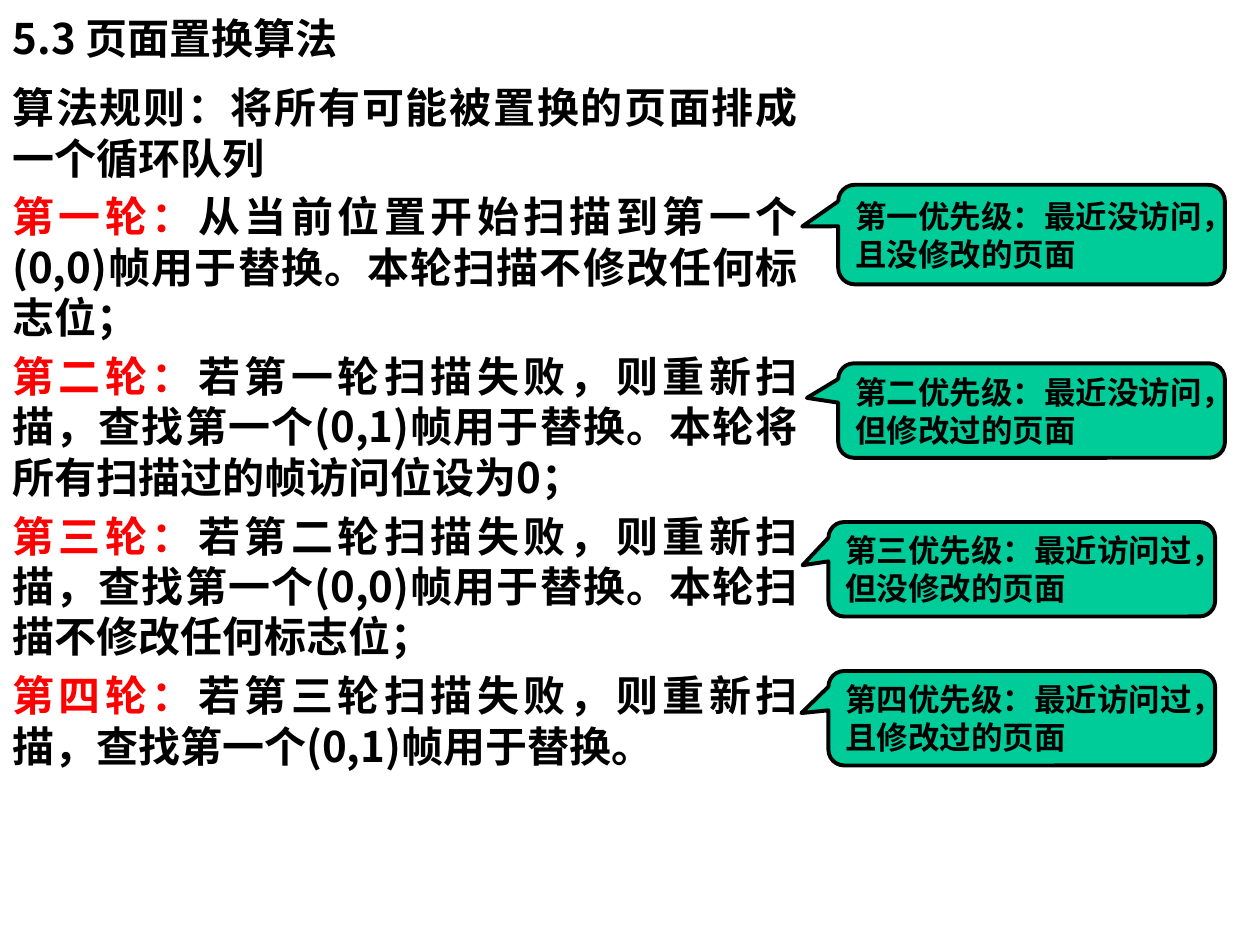
import pptx
import pptx.dml.color
import pptx.enum.shapes
import pptx.enum.text
import pptx.oxml
import pptx.oxml.ns
import pptx.util

Pt = pptx.util.Pt
PP_ALIGN = pptx.enum.text.PP_ALIGN
MSO_ANCHOR = pptx.enum.text.MSO_ANCHOR

COLORS = {"text": "000000", "round": "FF0000", "callout": "00CC99", "white": "FFFFFF"}
CJK_FONT = "Noto Sans CJK SC"
LATIN_FONT = "Arial"

RULE = "算法规则：将所有可能被置换的页面排成一个循环队列"
ROUNDS = [
    ("第一轮：", "从当前位置开始扫描到第一个(0,0)帧用于替换。本轮扫描不修改任何标志位；"),
    ("第二轮：", "若第一轮扫描失败，则重新扫描，查找第一个(0,1)帧用于替换。本轮将所有扫描过的帧访问位设为0；"),
    ("第三轮：", "若第二轮扫描失败，则重新扫描，查找第一个(0,0)帧用于替换。本轮扫描不修改任何标志位；"),
    ("第四轮：", "若第三轮扫描失败，则重新扫描，查找第一个(0,1)帧用于替换。"),
]
PRIORITIES = [
    ((479, 105.6, 221, 56.9), (-0.593, -0.081),
     ["第一优先级：最近没访问，", "且没修改的页面"]),
    ((479, 207.6, 221, 54), (-0.581, -0.134),
     ["第二优先级：最近没访问，", "但修改过的页面"]),
    ((473.4, 298.3, 221, 54), (-0.567, -0.042),
     ["第三优先级：最近访问过，", "但没修改的页面"]),
    ((473.4, 383.4, 221, 54), (-0.57, -0.054),
     ["第四优先级：最近访问过，", "且修改过的页面"]),
]


def rgb(name):
    return pptx.dml.color.RGBColor.from_string(COLORS[name])


def write_text(frame, paragraphs, size=24, font=CJK_FONT, align=PP_ALIGN.LEFT,
               anchor=MSO_ANCHOR.TOP, wrap=True, gap=0):
    frame.auto_size = pptx.enum.text.MSO_AUTO_SIZE.NONE
    frame.word_wrap = wrap
    frame.vertical_anchor = anchor
    for index, pieces in enumerate(paragraphs):
        paragraph = frame.add_paragraph() if index else frame.paragraphs[0]
        paragraph.alignment = align
        paragraph.line_spacing = 1.0
        paragraph.space_before = Pt(gap if index else 0)
        paragraph._p.get_or_add_pPr().set("hangingPunct", "0")
        for words, color in pieces:
            run = paragraph.add_run()
            run.text = words
            run.font.size = Pt(size)
            run.font.bold = True
            run.font.name = font
            run.font.color.rgb = rgb(color)
            east_asian = pptx.oxml.parse_xml(
                f'<a:ea {pptx.oxml.ns.nsdecls("a")} typeface="{CJK_FONT}"/>')
            run.font._element.find(pptx.oxml.ns.qn("a:latin")).addnext(east_asian)


def place_heading(slide, box):
    heading = slide.shapes.title
    heading.left, heading.top, heading.width, heading.height = map(Pt, box)
    write_text(heading.text_frame, [[("5.3 页面置换算法", "text")]],
               anchor=MSO_ANCHOR.MIDDLE)


def place_algorithm(slide, box):
    algorithm = slide.shapes.add_textbox(*map(Pt, box))
    steps = [[(label, "round"), (step, "text")] for label, step in ROUNDS]
    write_text(algorithm.text_frame, [[(RULE, "text")]] + steps,
               align=PP_ALIGN.JUSTIFY, gap=4.8)


def place_priority(slide, box, tip, lines):
    priority = slide.shapes.add_shape(
        pptx.enum.shapes.MSO_SHAPE.ROUNDED_RECTANGULAR_CALLOUT, *map(Pt, box))
    priority.shadow.inherit = False
    for index, value in enumerate((*tip, 0.167)):
        priority.adjustments[index] = value
    priority.fill.solid()
    priority.fill.fore_color.rgb = rgb("callout")
    priority.line.color.rgb = rgb("text")
    priority.line.width = Pt(2.25)
    write_text(priority.text_frame, [[(line, "text")] for line in lines],
               size=18, font=LATIN_FONT, anchor=MSO_ANCHOR.MIDDLE, wrap=False)


def main():
    deck = pptx.Presentation()
    deck.slide_width, deck.slide_height = Pt(720), Pt(540)
    slide = deck.slides.add_slide(deck.slide_layouts.get_by_name("Title Only"))
    slide.background.fill.solid()
    slide.background.fill.fore_color.rgb = rgb("white")
    place_heading(slide, (0, 3.6, 612, 36))
    place_algorithm(slide, (0, 43.2, 463, 468))
    for box, tip, lines in PRIORITIES:
        place_priority(slide, box, tip, lines)
    deck.save("out.pptx")


if __name__ == "__main__":
    main()
